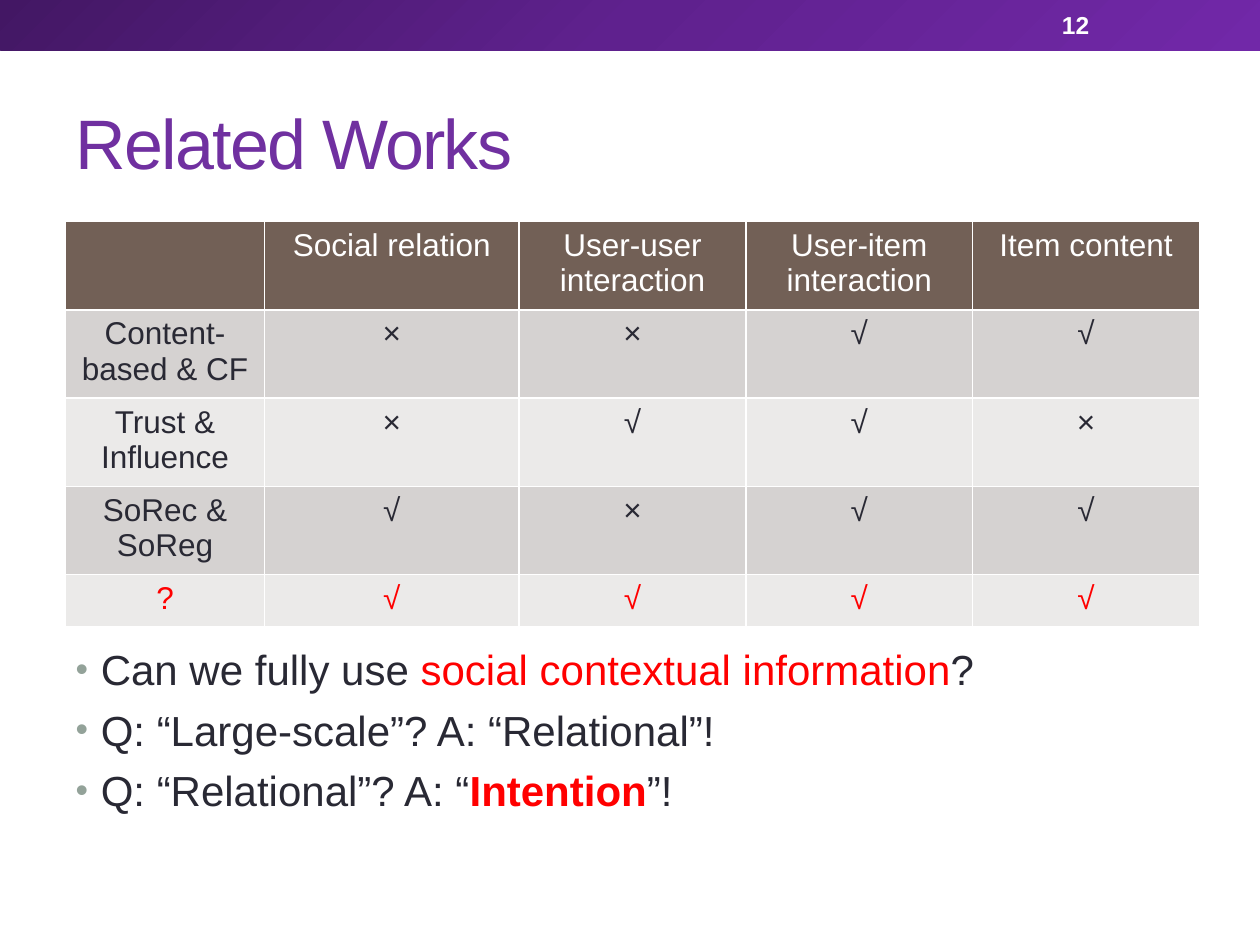
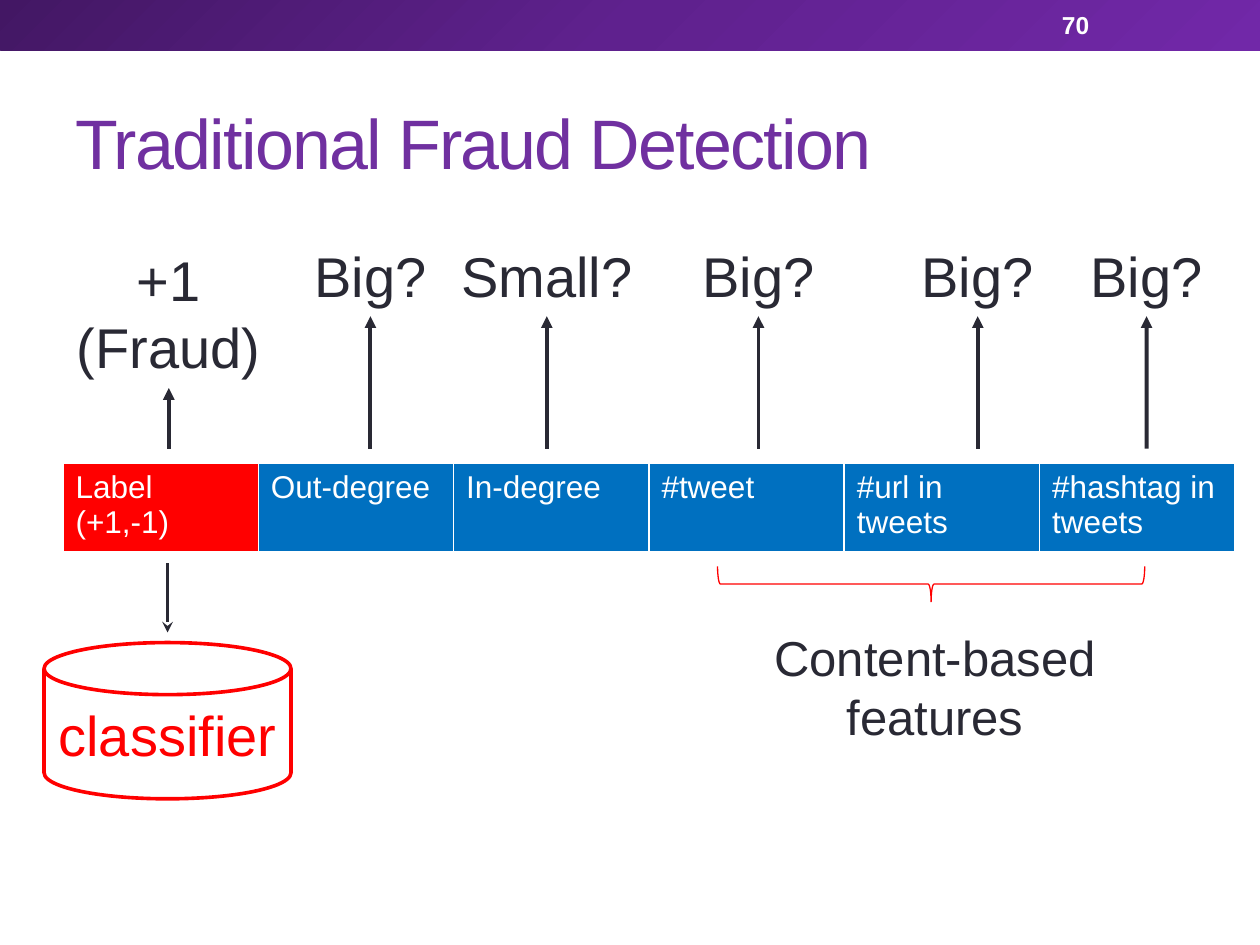
from copy import deepcopy

from lxml import etree
from pptx import Presentation
from pptx.dml.color import RGBColor
from pptx.enum.shapes import MSO_CONNECTOR, MSO_SHAPE
from pptx.enum.text import MSO_ANCHOR, MSO_AUTO_SIZE, PP_ALIGN
from pptx.oxml.ns import qn
from pptx.util import Inches, Pt

FONT = "Arial"
WHITE = RGBColor(0xFF, 0xFF, 0xFF)
INK = RGBColor(0x29, 0x29, 0x34)
RED = RGBColor(0xFF, 0x00, 0x00)
BLUE = RGBColor(0x00, 0x70, 0xC0)
PURPLE = RGBColor(0x70, 0x30, 0xA0)
BROWN = RGBColor(0x72, 0x60, 0x56)
ROW_DARK = RGBColor(0xD5, 0xD2, 0xD1)
ROW_LIGHT = RGBColor(0xEB, 0xEA, 0xE9)
BULLET = RGBColor(0x93, 0xA2, 0x99)
BAND = [
    (0, RGBColor(0x43, 0x17, 0x64)),
    (0.5, RGBColor(0x5F, 0x21, 0x8E)),
    (1, RGBColor(0x71, 0x28, 0xA8)),
]
LEFT, CENTER = PP_ALIGN.LEFT, PP_ALIGN.CENTER
MIDDLE, TOP = MSO_ANCHOR.MIDDLE, MSO_ANCHOR.TOP
NO_FIT = MSO_AUTO_SIZE.NONE
STRAIGHT = MSO_CONNECTOR.STRAIGHT
RECT, DISK, BRACE = MSO_SHAPE.RECTANGLE, MSO_SHAPE.FLOWCHART_MAGNETIC_DISK, MSO_SHAPE.LEFT_BRACE
TITLE_AND_CONTENT, TITLE_ONLY = 1, 5

METHODS = [
    ["", "Social relation", "User-user interaction", "User-item interaction", "Item content"],
    ["Content-based & CF", "×", "×", "√", "√"],
    ["Trust & Influence", "×", "√", "√", "×"],
    ["SoRec & SoReg", "√", "×", "√", "√"],
    ["?", "√", "√", "√", "√"],
]
METHOD_WIDTHS = [1.58, 2.02, 1.8, 1.8, 1.8]
METHOD_HEIGHTS = [0.66] * 4 + [0.41]

QUESTIONS = [
    [("Can we fully use ", INK, False), ("social contextual information", RED, False), ("?", INK, False)],
    [("Q: “Large-scale”? A: “Relational”!", INK, False)],
    [("Q: “Relational”? A: “", INK, False), ("Intention", RED, True), ("”!", INK, False)],
]

FEATURES = ["Label\n(+1,-1)", "Out-degree", "In-degree", "#tweet", "#url in tweets", "#hashtag in tweets"]

SIGNALS = [
    ("+1\n(Fraud)", 1.34, 1.9, 1.67, 1.18),
    ("Big?", 2.94, 1.87, 1.1, 0.64),
    ("Small?", 4.34, 1.87, 1.59, 0.64),
    ("Big?", 6.02, 1.87, 1.1, 0.64),
    ("Big?", 7.76, 1.87, 1.1, 0.64),
    ("Big?", 9.1, 1.87, 1.1, 0.64),
]
SIGNAL_START = 3.56


def box(*lengths):
    return [Inches(n) for n in lengths]


def style_run(r, size, color, bold=False):
    r.font.name = FONT
    r.font.size = Pt(size)
    r.font.color.rgb = color
    r.font.bold = bold


def write(tf, text, size, color, align=LEFT, bold=False, anchor=TOP):
    tf.text = text
    tf.vertical_anchor = anchor
    for p in tf.paragraphs:
        p.alignment = align
        for r in p.runs:
            style_run(r, size, color, bold)


def add_text(slide, bounds, text, size, color, wrap=False, **layout):
    sp = slide.shapes.add_textbox(*box(*bounds))
    sp.text_frame.word_wrap = wrap
    write(sp.text_frame, text, size, color, **layout)
    return sp


def add_outline(slide, shape, bounds, width):
    sp = slide.shapes.add_shape(shape, *box(*bounds))
    sp.shadow.inherit = False
    sp.fill.background()
    sp.line.color.rgb = RED
    sp.line.width = Pt(width)
    return sp


def add_arrow(slide, x, y1, y2, width, head):
    line = slide.shapes.add_connector(STRAIGHT, *box(x, y1, x, y2))
    line.line.color.rgb = INK
    line.line.width = Pt(width)
    etree.SubElement(line.line._get_or_add_ln(), qn("a:tailEnd"), type=head)
    etree.SubElement(line.element.spPr, qn("a:effectLst"))
    return line


def add_grid(slide, rows, left, top, widths, heights, align, colors):
    frame = slide.shapes.add_table(
        len(rows), len(widths), *box(left, top, sum(widths), sum(heights)))
    table = frame.table
    for col, width in zip(table.columns, widths):
        col.width = Inches(width)
    for i, (values, height) in enumerate(zip(rows, heights)):
        table.rows[i].height = Inches(height)
        for j, value in enumerate(values):
            fill, color = colors(i, j)
            cell = table.cell(i, j)
            cell.fill.solid()
            cell.fill.fore_color.rgb = fill
            write(cell.text_frame, value, 18, color, align)


def add_band(slide, master):
    sp = slide.shapes.add_shape(RECT, *box(0, 0, 10, 0.4))
    sp.shadow.inherit = False
    sp.line.fill.background()
    sp.fill.gradient()
    sp.fill.gradient_angle = 315
    stops = sp.element.spPr.find(".//" + qn("a:gsLst"))
    stops.append(deepcopy(stops[0]))
    for stop, (position, color) in zip(sp.fill.gradient_stops, BAND):
        stop.position = position
        stop.color.rgb = color
    master.shapes.element.insert(2, sp.element)


def add_slide(prs, layout, title, number):
    slide = prs.slides.add_slide(prs.slide_layouts[layout])
    sp = slide.shapes.title
    sp.left, sp.top, sp.width, sp.height = box(0.5, 0.58, 9, 1.08)
    sp.text_frame.auto_size = NO_FIT
    write(sp.text_frame, title, 40, PURPLE, anchor=MIDDLE)
    sp.text_frame.paragraphs[0].runs[0].font._element.set("spc", "-100")
    add_text(slide, (8.33, 0.02, 1.17, 0.36), number, 14, WHITE, wrap=True, bold=True, anchor=MIDDLE)
    return slide


def add_bullet(p):
    pPr = p._p.get_or_add_pPr()
    pPr.set("marL", str(Inches(0.2)))
    pPr.set("indent", str(Inches(-0.2)))
    color = etree.SubElement(pPr, qn("a:buClr"))
    etree.SubElement(color, qn("a:srgbClr"), val=str(BULLET))
    etree.SubElement(pPr, qn("a:buSzPct"), val="85000")
    etree.SubElement(pPr, qn("a:buFont"), typeface=FONT)
    etree.SubElement(pPr, qn("a:buChar"), char="•")


def fill_questions(body):
    body.left, body.top, body.width, body.height = box(0.5, 5.06, 9, 2.02)
    tf = body.text_frame
    tf.auto_size = NO_FIT
    for i, parts in enumerate(QUESTIONS):
        p = tf.add_paragraph() if i else tf.paragraphs[0]
        add_bullet(p)
        p.space_before = Pt(5.8 if i else 0)
        for text, color, bold in parts:
            r = p.add_run()
            r.text = text
            style_run(r, 24, color, bold)


def method_colors(row, col):
    if row == 0:
        return BROWN, WHITE
    return (ROW_DARK if row % 2 else ROW_LIGHT), (RED if row == len(METHODS) - 1 else INK)


def feature_colors(row, col):
    return (BLUE if col else RED), WHITE


def build_related_works(prs):
    slide = add_slide(prs, TITLE_AND_CONTENT, "Related Works", "12")
    add_band(slide, prs.slide_master)
    fill_questions(slide.placeholders[1])
    add_grid(slide, METHODS, 0.52, 1.76, METHOD_WIDTHS, METHOD_HEIGHTS, CENTER, method_colors)


def build_fraud_detection(prs):
    slide = add_slide(prs, TITLE_ONLY, "Traditional Fraud Detection", "70")
    add_grid(slide, [FEATURES], 0.5, 3.68, [1.55] * len(FEATURES), [0.66], LEFT, feature_colors)
    add_arrow(slide, 1.33, 4.47, 5.02, 2.08, "stealth")
    disk = add_outline(slide, DISK, (0.35, 5.1, 1.96, 1.24), 2.08)
    write(disk.text_frame, "classifier", 32, RED, CENTER, anchor=MIDDLE)
    brace = add_outline(slide, BRACE, (7.25, 2.94, 0.28, 3.39), 0.75)
    brace.rotation = 270
    add_text(slide, (6.03, 4.93, 2.78, 1.04), "Content-based\nfeatures", 28, INK, align=CENTER)
    for text, x, top, width, height in SIGNALS:
        label = add_text(slide, (x - width / 2, top, width, height), text, 32, INK, align=CENTER)
        arrow = add_arrow(slide, x, SIGNAL_START, top + height, 2.25, "triangle")
        arrow.end_connect(label, 2)


def main():
    prs = Presentation()
    prs.slide_width, prs.slide_height = box(10, 7.5)
    build_related_works(prs)
    build_fraud_detection(prs)
    prs.save("out.pptx")


if __name__ == "__main__":
    main()
